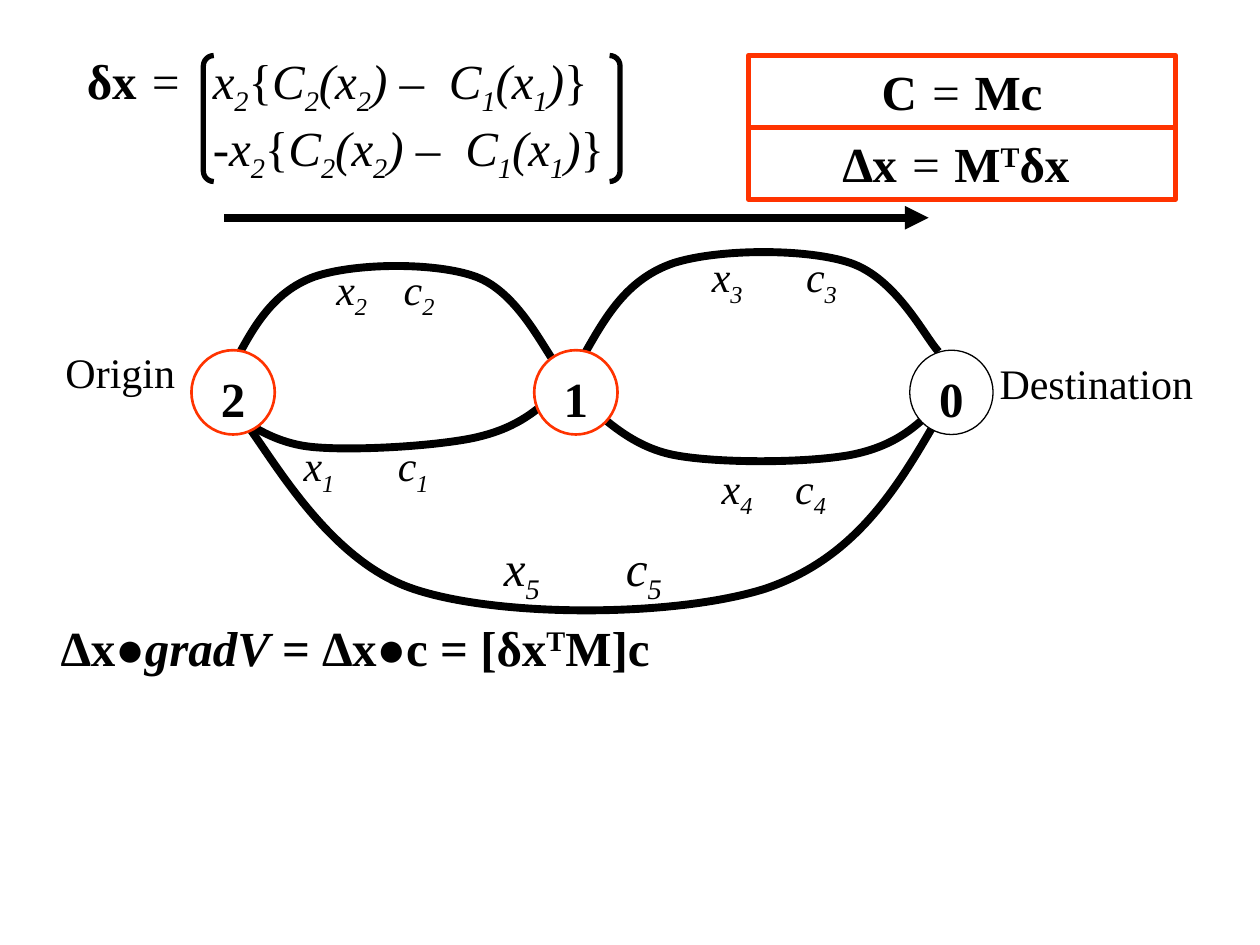
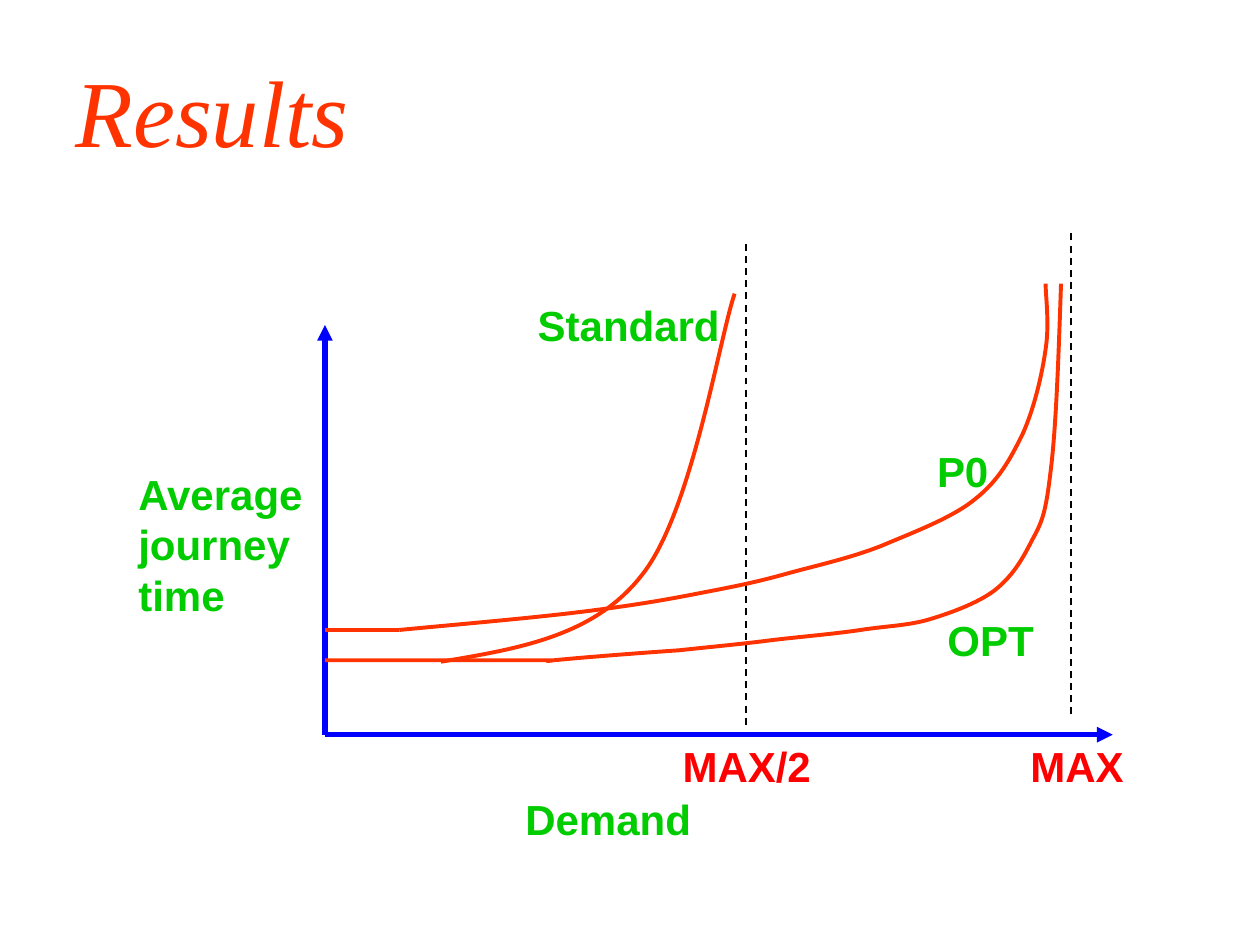
from dataclasses import dataclass
from typing import NamedTuple

from lxml.etree import SubElement
from pptx import Presentation
from pptx.dml.color import RGBColor
from pptx.enum.dml import MSO_LINE
from pptx.enum.shapes import MSO_CONNECTOR, MSO_SHAPE
from pptx.enum.text import MSO_ANCHOR, PP_ALIGN
from pptx.oxml.ns import qn
from pptx.util import Cm, Pt


# Theme: every colour, font and size
@dataclass(frozen=True)
class Theme:
    ink: str = "000000"
    paper: str = "FFFFFF"
    accent: str = "FF3300"
    axis: str = "0000FF"
    label: str = "00CC00"
    limit: str = "FF0000"
    serif: str = "Times New Roman"
    sans: str = "Arial"
    title: int = 54
    formula: int = 28
    text: int = 24
    road: float = 4.5
    frame: float = 3
    curve: float = 2.25
    node: float = 1.5
    thin: float = 1
    hairline: float = 0.75


THEME = Theme()
Point = tuple[float, float]


class Span(NamedTuple):
    text: str
    bold: bool = False
    italic: bool = False
    baseline: int = 0


class RouteLabel(NamedTuple):
    number: str
    left: float
    top: float
    cost_tab: float
    size: int = THEME.text


class Arc(NamedTuple):
    start: Point
    end: Point
    rise: float


class Node(NamedTuple):
    name: str
    left: float
    color: str
    weight: float


class GraphLabel(NamedTuple):
    lines: tuple[str, ...]
    left: float
    top: float
    width: float
    color: str = THEME.label


# Shared outline of a road: (share of the span, share of the rise)
ARC_PROFILE = [(0, 0), (0.06, 0.36), (0.12, 0.71), (0.25, 0.86), (0.38, 1),
               (0.63, 1), (0.75, 0.86), (0.88, 0.71), (0.96, 0.15), (1, 0)]

ARCS = [
    Arc((4.7, 7.37), (11.23, 7.37), -2.08),
    Arc((11.15, 7.98), (4.65, 8.33), 0.89),
    Arc((18.92, 8.15), (11.81, 8.15), 1.19),
    Arc((18.97, 8.31), (4.78, 8.31), 4.14),
    Arc((11.81, 7.09), (18.92, 7.09), -2.08),
]
ROUTE_LABELS = [
    RouteLabel("1", 5.87, 8.74, 1.9),
    RouteLabel("2", 6.53, 5.18, 1.36),
    RouteLabel("3", 14.1, 4.93, 1.9),
    RouteLabel("4", 14.3, 9.19, 1.48),
    RouteLabel("5", 9.91, 10.72, 2.46, THEME.formula),
]
NODES = [
    Node("2", 3.86, THEME.accent, THEME.node),
    Node("1", 10.77, THEME.accent, THEME.node),
    Node("0", 18.34, THEME.ink, THEME.hairline),
]

# Journey time curves: a start, then two handles and an end per segment
OPT_CURVE = [
    (6.55, 13.31), (8.31, 13.31), (10.03, 13.31), (10.8, 13.31),
    (11.56, 13.31), (10.69, 13.34), (11.18, 13.31),
    (11.66, 13.26), (12.95, 13.16), (13.69, 13.11),
    (14.43, 13.03), (14.99, 12.98), (15.6, 12.9),
    (16.21, 12.83), (16.81, 12.78), (17.35, 12.7),
    (17.86, 12.62), (18.24, 12.62), (18.69, 12.5),
    (19.13, 12.37), (19.69, 12.17), (20.04, 11.91),
    (20.4, 11.63), (20.6, 11.3), (20.8, 10.9),
    (21.01, 10.52), (21.08, 10.36), (21.18, 9.5),
    (21.29, 8.64), (21.34, 7.19), (21.39, 5.72),
]
P0_CURVE = [
    (8.05, 12.7), (9.42, 12.57), (10.82, 12.45), (11.84, 12.32),
    (12.88, 12.19), (13.54, 12.07), (14.2, 11.94),
    (14.88, 11.81), (15.27, 11.73), (15.88, 11.56),
    (16.46, 11.4), (17.15, 11.25), (17.78, 11),
    (18.39, 10.74), (19.2, 10.44), (19.66, 10.06),
    (20.14, 9.68), (20.37, 9.25), (20.62, 8.74),
    (20.85, 8.23), (21.01, 7.54), (21.08, 7.04),
    (21.16, 6.53), (21.08, 5.97), (21.08, 5.72),
]
STANDARD_CURVE = [
    (8.89, 13.34), (10.44, 13.08), (11.99, 12.83), (12.95, 11.58),
    (13.94, 10.34), (14.5, 6.83), (14.81, 5.92),
]
GRAPH_LABELS = [
    GraphLabel(("Demand",), 10.34, 15.88, 3.84),
    GraphLabel(("MAX/2",), 13.51, 14.81, 3.1, THEME.limit),
    GraphLabel(("MAX",), 20.52, 14.81, 2.39, THEME.limit),
    GraphLabel(("Average", "journey", "time"), 2.54, 9.32, 4.09),
    GraphLabel(("Standard",), 10.59, 5.92, 4.17),
    GraphLabel(("P0",), 18.64, 8.86, 1.55),
    GraphLabel(("OPT",), 18.85, 12.27, 2.24),
]


# Text
def add_run(paragraph, text: str, *, size: float = THEME.formula,
            font: str = THEME.serif, color: str = THEME.ink, bold: bool = False,
            italic: bool = False, baseline: int = 0) -> None:
    run = paragraph.add_run()
    run.text = text
    run.font.size, run.font.name = Pt(size), font
    run.font.bold, run.font.italic = bold, italic
    run.font.color.rgb = RGBColor.from_string(color)
    if baseline:
        run.font._element.set("baseline", str(baseline * 1000))


def set_tabs(paragraph, stops: list[float]) -> None:
    tab_list = SubElement(paragraph._p.get_or_add_pPr(), qn("a:tabLst"))
    for stop in stops:
        SubElement(tab_list, qn("a:tab"), pos=str(Cm(stop)), algn="l")


def write_spans(paragraph, spans: list[Span], size: float = THEME.formula) -> None:
    for span in spans:
        add_run(paragraph, span.text, size=size, bold=span.bold,
                italic=span.italic, baseline=span.baseline)


def add_box(slide, left: float, top: float, width: float, height: float,
            wrap: bool = True):
    box = slide.shapes.add_textbox(Cm(left), Cm(top), Cm(width), Cm(height))
    box.text_frame.word_wrap = wrap
    return box.text_frame


def variable(name: str, number: str) -> list[Span]:
    return [Span(name, italic=True), Span(number, italic=True, baseline=-25)]


def swap_formula(first: str) -> list[Span]:
    """Cost difference between routes 2 and 1, weighted by the flow x2."""
    return [*variable(first, "2"), Span("{"), *variable("C", "2"),
            *variable("(x", "2"), *variable(") –\tC", "1"),
            *variable("(x", "1"), Span(")", italic=True), Span("}")]


# Lines and shapes
def set_line(shape, color: str, weight: float) -> None:
    shape.line.color.rgb = RGBColor.from_string(color)
    shape.line.width = Pt(weight)


def add_line(slide, start: Point, end: Point, color: str, weight: float,
             arrow: bool = False, dashed: bool = False) -> None:
    line = slide.shapes.add_connector(
        MSO_CONNECTOR.STRAIGHT, *(Cm(v) for v in (*start, *end)))
    set_line(line, color, weight)
    if dashed:
        line.line.dash_style = MSO_LINE.DASH
    if arrow:
        SubElement(line.line._get_or_add_ln(), qn("a:tailEnd"), type="triangle")
    SubElement(line._element.spPr, qn("a:effectLst"))


def add_curve(slide, points: list[Point], color: str, weight: float) -> None:
    start, *rest = [(Cm(x), Cm(y)) for x, y in points]
    builder = slide.shapes.build_freeform(*start)
    builder.add_line_segments(rest, close=False)
    curve = builder.convert_to_shape()
    # Join each three line segments into one Bezier segment
    segments = list(curve._element.iter(qn("a:lnTo")))
    outline = segments[0].getparent()
    for i in range(0, len(segments), 3):
        bezier = SubElement(outline, qn("a:cubicBezTo"))
        for segment in segments[i:i + 3]:
            bezier.append(segment[0])
            outline.remove(segment)
    curve.fill.background()
    curve.shadow.inherit = False
    set_line(curve, color, weight)


def add_preset(slide, kind: MSO_SHAPE, left: float, top: float, width: float,
               height: float, color: str, weight: float, filled: bool = True):
    shape = slide.shapes.add_shape(kind, Cm(left), Cm(top), Cm(width), Cm(height))
    shape.shadow.inherit = False
    set_line(shape, color, weight)
    if filled:
        shape.fill.solid()
        shape.fill.fore_color.rgb = RGBColor.from_string(THEME.paper)
    else:
        shape.fill.background()
    shape.text_frame.vertical_anchor = MSO_ANCHOR.TOP
    shape.text_frame.paragraphs[0].alignment = PP_ALIGN.CENTER
    return shape


def arc_points(arc: Arc) -> list[Point]:
    (x0, y0), (x1, y1) = arc.start, arc.end
    return [(x0 + (x1 - x0) * u, y0 + (y1 - y0) * u + arc.rise * v)
            for u, v in ARC_PROFILE]


# Slide 1: the road network
def build_network(prs) -> None:
    slide = prs.slides.add_slide(prs.slide_layouts[6])
    for arc in ARCS:
        add_curve(slide, arc_points(arc), THEME.ink, THEME.road)
    add_line(slide, (4.52, 4.39), (18.72, 4.39), THEME.ink, THEME.road, arrow=True)
    for label in ROUTE_LABELS:
        paragraph = add_box(slide, label.left, label.top, 4.72, 1.57).paragraphs[0]
        set_tabs(paragraph, [label.cost_tab])
        write_spans(paragraph, [*variable("x", label.number),
                                *variable("\tc", label.number)], label.size)
    for node in NODES:
        circle = add_preset(slide, MSO_SHAPE.OVAL, node.left, 7.06, 1.68, 1.7,
                            node.color, node.weight)
        add_run(circle.text_frame.paragraphs[0], node.name, bold=True)
    for place, left, top, width in (("Origin", 1.07, 6.86, 3.61),
                                    ("Destination", 19.9, 7.09, 5.5)):
        frame = add_box(slide, left, top, width, 1.45)
        add_run(frame.paragraphs[0], place, size=THEME.text)

    # Framed matrix equations
    equations = [
        [Span("C", bold=True), Span(" = ", italic=True), Span("Mc", bold=True)],
        [Span("∆x", bold=True), Span(" = ", italic=True), Span("M", bold=True),
         Span("T", bold=True, baseline=30), Span("δx ", bold=True)],
    ]
    for row, equation in enumerate(equations):
        frame = add_preset(slide, MSO_SHAPE.RECTANGLE, 15.09, 1.12 + 1.45 * row,
                           8.61, 1.45, THEME.accent, THEME.frame)
        write_spans(frame.text_frame.paragraphs[0], equation)

    # Flow change vector in brackets
    vector = add_box(slide, 1.5, 0.89, 13, 2.95)
    upper, lower = vector.paragraphs[0], vector.add_paragraph()
    set_tabs(upper, [2.54, 7.3])
    set_tabs(lower, [2.54, 7.63])
    write_spans(upper, [Span("δx", bold=True), Span(" = \t", italic=True),
                        *swap_formula("x")])
    write_spans(lower, swap_formula("\t-x"))
    for kind, left in ((MSO_SHAPE.LEFT_BRACKET, 4.1), (MSO_SHAPE.RIGHT_BRACKET, 12.29)):
        bracket = add_preset(slide, kind, left, 1.12, 0.21, 2.54,
                             THEME.ink, THEME.frame, filled=False)
        bracket.adjustments[0] = 1

    # Closing identity
    identity = add_box(slide, 0.98, 12.32, 24, 1.5)
    write_spans(identity.paragraphs[0], [
        Span("∆x●", bold=True), Span("gradV", bold=True, italic=True),
        Span(" = ∆x●c = [δx", bold=True), Span("T", bold=True, baseline=30),
        Span("M]c", bold=True)])


# Slide 2: journey time against demand
def build_results(prs) -> None:
    slide = prs.slides.add_slide(prs.slide_layouts[5])
    title = slide.shapes.title
    title.left, title.top, title.width, title.height = (
        Cm(1.27), Cm(0.76), Cm(22.86), Cm(3.18))
    title.text_frame.vertical_anchor = MSO_ANCHOR.TOP
    title.text_frame.margin_top = Cm(0.3)
    heading = title.text_frame.paragraphs[0]
    heading.alignment = PP_ALIGN.LEFT
    add_run(heading, "Results", size=THEME.title, color=THEME.accent, italic=True)

    origin = (6.55, 14.81)
    for axis_end in ((6.55, 6.55), (22.43, 14.81)):
        add_line(slide, origin, axis_end, THEME.axis, THEME.frame, arrow=True)
    for x, bottom, top in ((21.59, 14.4, 4.65), (15.04, 14.61, 4.88)):
        add_line(slide, (x, bottom), (x, top), THEME.ink, THEME.thin, dashed=True)
    add_line(slide, P0_CURVE[0], (6.55, 12.7), THEME.accent, THEME.curve)
    for points in (OPT_CURVE, P0_CURVE, STANDARD_CURVE):
        add_curve(slide, points, THEME.accent, THEME.curve)
    for label in GRAPH_LABELS:
        frame = add_box(slide, label.left, label.top, label.width,
                        0.25 + 1.02 * len(label.lines), wrap=False)
        for i, line in enumerate(label.lines):
            paragraph = frame.add_paragraph() if i else frame.paragraphs[0]
            add_run(paragraph, line, size=THEME.text, font=THEME.sans,
                    color=label.color, bold=True)


def main() -> None:
    prs = Presentation()
    prs.slide_width, prs.slide_height = Cm(25.4), Cm(19.05)
    build_network(prs)
    build_results(prs)
    prs.save("out.pptx")


if __name__ == "__main__":
    main()
